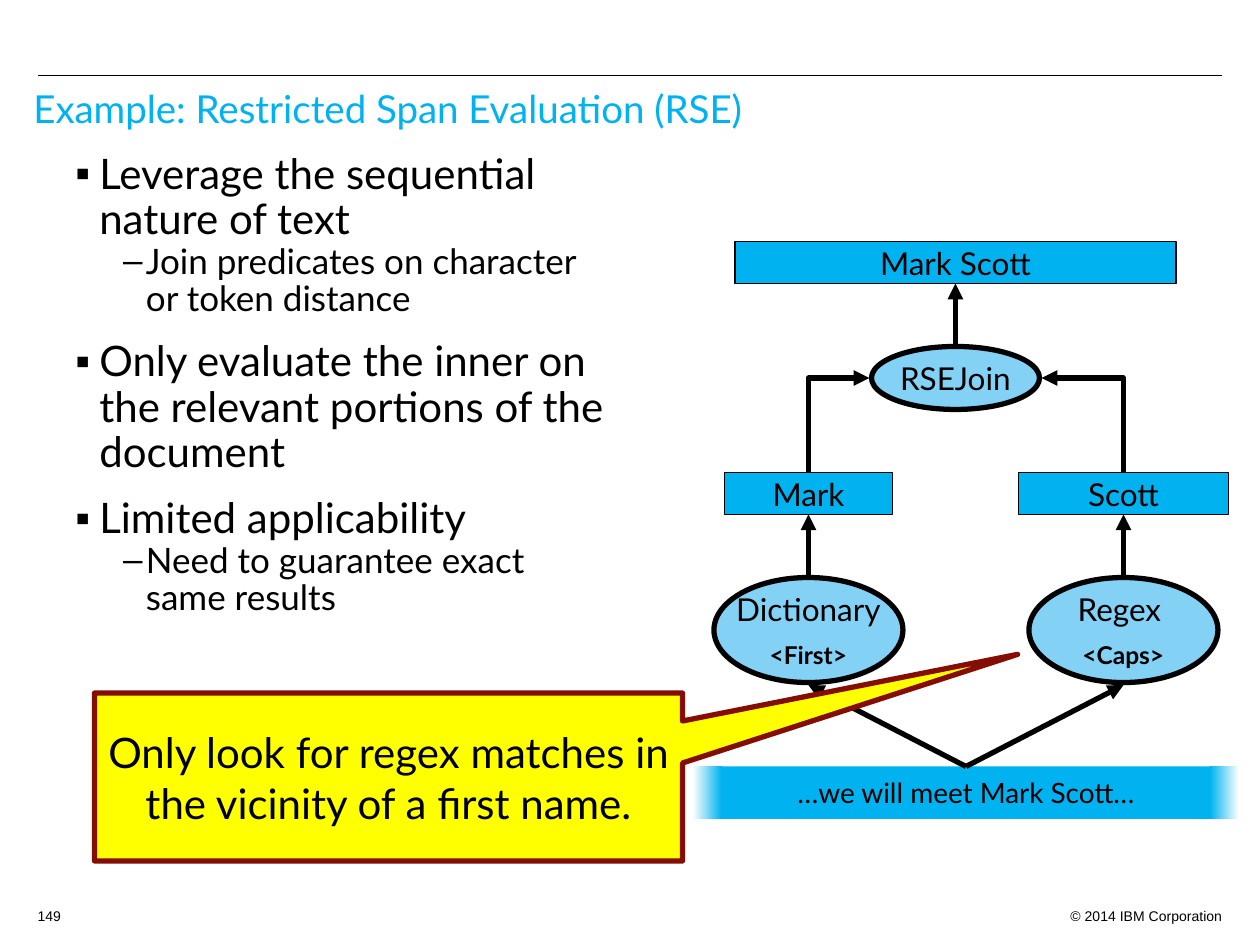
import pptx
import pptx.util
import pptx.dml.color
import pptx.enum.shapes
import pptx.enum.text
import pptx.oxml.ns
from lxml import etree

SHAPE = pptx.enum.shapes.MSO_SHAPE
LINK = pptx.enum.shapes.MSO_CONNECTOR
ALIGN = pptx.enum.text.PP_ALIGN
ANCHOR = pptx.enum.text.MSO_ANCHOR
BLUE, PALE, BLACK, WHITE = "00B2EF", "83D1F5", "000000", "FFFFFF"


def rgb(value):
    return pptx.dml.color.RGBColor.from_string(value)


def grid(*cells):
    """Twelve columns or rows to the inch."""
    return [pptx.util.Inches(n / 12) for n in cells]


def child(parent, tag, **attrs):
    return etree.SubElement(parent, pptx.oxml.ns.qn(tag), **attrs)


class Deck:
    def __init__(self):
        self.prs = pptx.Presentation()
        self.prs.slide_width, self.prs.slide_height = grid(120, 90)
        self.font = "Lato"
        self.s = self.prs.slides.add_slide(self.prs.slide_layouts[6])

    def style(self, p, size, color=BLACK, bold=False, font=None):
        p.font.name = font or self.font
        p.font.size = pptx.util.Pt(size)
        p.font.bold = bold
        p.font.color.rgb = rgb(color)

    def text(self, box, text, size, color=BLACK, font=None, align=ALIGN.LEFT, spacing=1):
        tf = self.s.shapes.add_textbox(*grid(*box)).text_frame
        tf.word_wrap = True
        p = tf.paragraphs[0]
        p.text, p.alignment, p.line_spacing = text, align, spacing
        self.style(p, size, color, font=font)

    def bullets(self, box, items):
        """Each item is a level and its text."""
        looks = [("▪", 24, 0.19, 0.19, 12), ("–", 20, 0.56, 0.18, 0)]
        tf = self.s.shapes.add_textbox(*grid(*box)).text_frame
        tf.word_wrap = True
        for i, (level, text) in enumerate(items):
            mark, size, left, hang, gap = looks[level]
            p = tf.add_paragraph() if i else tf.paragraphs[0]
            p.text, p.level, p.line_spacing = text, level, 0.9
            p.space_before = pptx.util.Pt(gap if i else 0)
            pPr = p._p.get_or_add_pPr()
            pPr.set("marL", str(pptx.util.Inches(left)))
            pPr.set("indent", str(-pptx.util.Inches(hang)))
            child(child(pPr, "a:buClr"), "a:srgbClr", val=BLACK)
            child(pPr, "a:buFont", typeface="Arial")
            child(pPr, "a:buChar", char=mark)
            self.style(p, size)

    def shape(self, kind, box, fill, lines=(), line=None, width=1, wrap=False):
        """Each line is text, size and whether it is bold."""
        sp = self.s.shapes.add_shape(kind, *grid(*box))
        sp.shadow.inherit = False
        sp.fill.solid()
        sp.fill.fore_color.rgb = rgb(fill)
        if line:
            sp.line.color.rgb = rgb(line)
            sp.line.width = pptx.util.Pt(width)
        else:
            sp.line.fill.background()
        tf = sp.text_frame
        tf.word_wrap, tf.vertical_anchor = wrap, ANCHOR.MIDDLE
        for i, (text, size, bold) in enumerate(lines):
            p = tf.add_paragraph() if i else tf.paragraphs[0]
            p.text, p.alignment = text, ALIGN.CENTER
            p.space_before = pptx.util.Pt(size / 2 if i else 0)
            self.style(p, size, bold=bold)
        return sp

    def fade(self, box, left, right):
        sp = self.shape(SHAPE.RECTANGLE, box, left)
        sp.fill.gradient()
        sp.fill.gradient_angle = 0
        for stop, color in zip(sp.fill.gradient_stops, (left, right)):
            stop.color.rgb = rgb(color)

    def span(self, box, text):
        self.shape(SHAPE.RECTANGLE, box, BLUE, [(text, 18, False)], BLACK)

    def operator(self, box, name, argument=None):
        lines = [(name, 18, False)] + ([(argument, 14, True)] if argument else [])
        self.shape(SHAPE.OVAL, box, PALE, lines, BLACK, 3)

    def line(self, start, end, width, kind=LINK.STRAIGHT):
        sp = self.s.shapes.add_connector(kind, *grid(*start, *end))
        sp.line.color.rgb = rgb(BLACK)
        sp.line.width = pptx.util.Pt(width)
        child(sp._element.spPr, "a:effectLst")
        return sp

    def arrow(self, tip, tail, bent=False):
        sp = self.line(tip, tail, 3, LINK.ELBOW if bent else LINK.STRAIGHT)
        if bent:
            sp._element.spPr.prstGeom.set("prst", "bentConnector2")
        child(sp.line._get_or_add_ln(), "a:headEnd", type="triangle")


def main():
    d = Deck()

    # Header and footer
    d.line((3.6, 7.2), (116.4, 7.2), 0.75)
    d.text((99.6, 85.8, 18, 2.4), "© 2014 IBM Corporation", 8, font="Arial", align=ALIGN.RIGHT)
    d.text((2, 8, 108, 6.6), "Example: Restricted Span Evaluation (RSE)", 22, BLUE, spacing=0.9)

    # Key points
    d.bullets((6, 14, 53, 52.8), [
        (0, "Leverage the sequential nature of text"),
        (1, "Join predicates on character or token distance"),
        (0, "Only evaluate the inner on the relevant portions of the document"),
        (0, "Limited applicability"),
        (1, "Need to guarantee exact same results"),
    ])

    # Source text, fading out at both ends
    d.fade((66, 73, 2.75, 5), WHITE, BLUE)
    d.shape(SHAPE.RECTANGLE, (68.75, 73, 46.5, 5), BLUE, [("…we will meet Mark Scott…", 16, False)])
    d.fade((115.25, 73, 2.75, 5), BLUE, WHITE)

    # Matched spans
    d.span((97, 45, 20, 4), "Scott")
    d.span((69, 45, 16, 4), "Mark")
    d.span((70, 23, 42, 4), "Mark Scott")

    # Data flow, the same on both branches
    for x, join_side in ((107, 99.2), (77, 82.8)):
        d.arrow((x, 65.25), (92, 73))
        d.arrow((x, 49), (x, 54.75))
        d.arrow((join_side, 36), (x, 45), bent=True)
    d.arrow((91, 27), (91, 32.75))

    # Operators
    d.operator((98, 55, 18, 10), "Regex ", "<Caps>")
    d.operator((68, 55, 18, 10), "Dictionary", "<First>")
    d.operator((83, 33, 16, 6), "RSEJoin")

    # Callout
    note = "Only look for regex matches in the vicinity of a first name."
    sp = d.shape(SHAPE.RECTANGULAR_CALLOUT, (9, 66, 56, 16), "FFFF00",
                 [(note, 24, False)], "840D04", 3, wrap=True)
    sp.adjustments[0], sp.adjustments[1] = 1.07, -0.73

    # Page number
    d.text((2.4, 85.8, 4.8, 2.4), "149", 8, font="Arial")

    d.prs.save("out.pptx")


if __name__ == "__main__":
    main()
